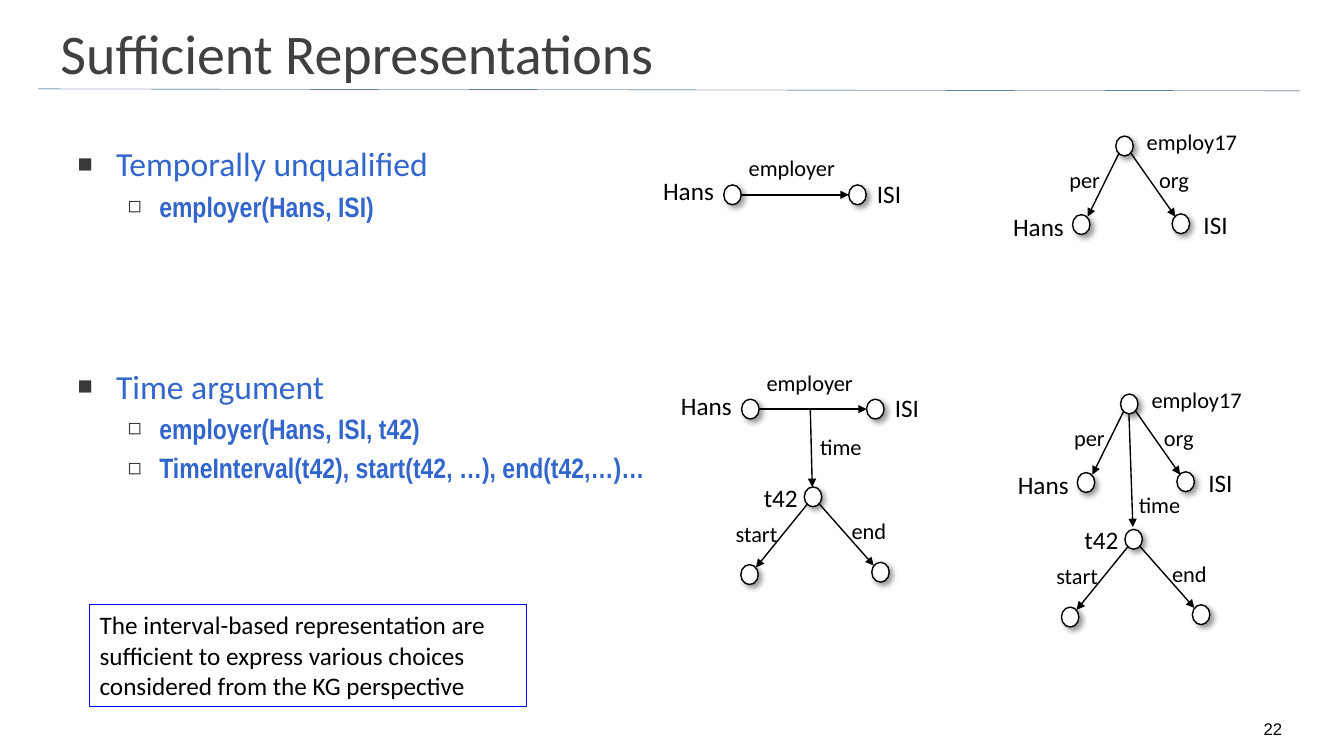
from lxml import etree
from pptx import Presentation
from pptx.dml.color import RGBColor
from pptx.enum import shapes, text
from pptx.oxml import ns, parse_xml
from pptx.util import Cm, Pt

HUES = {"ink": "000000", "title": "404040", "blue": "3366CC", "mark": "3B3838",
        "rule": "093D6E", "frame": "0000FF", "node": "FFFFFF"}
SHADE = ('<a:outerShdw %s blurRad="50800" dist="38100" dir="2700000" algn="tl" '
         'rotWithShape="0"><a:srgbClr val="%s"><a:alpha val="40000"/>'
         '</a:srgbClr></a:outerShdw>' % (ns.nsdecls("a"), HUES["ink"]))


def hue(name):
    return RGBColor.from_string(HUES[name])


def style(para, size, color="ink", face="Calibri", bold=False):
    font = para.font
    font.size, font.name, font.bold = Pt(size), face, bold
    font.color.rgb = hue(color)


def label(slide, words, x, y, w, h=0.94, size=16, face="Calibri"):
    box = slide.shapes.add_textbox(Cm(x), Cm(y), Cm(w), Cm(h))
    box.text_frame.word_wrap = True
    box.text_frame.text = words
    style(box.text_frame.paragraphs[0], size, face=face)
    return box


def node(slide, x, y):
    dot = slide.shapes.add_shape(shapes.MSO_SHAPE.OVAL, Cm(x), Cm(y), Cm(0.44), Cm(0.5))
    dot.fill.solid()
    dot.fill.fore_color.rgb = hue("node")
    dot.line.color.rgb = hue("ink")
    dot.line.width = Pt(1)
    dot.shadow.inherit = False
    dot._element.spPr.find(ns.qn("a:effectLst")).append(parse_xml(SHADE))


def line(slide, x1, y1, x2, y2, color="ink", width=1, head=True):
    link = slide.shapes.add_connector(shapes.MSO_CONNECTOR.STRAIGHT,
                                      Cm(x1), Cm(y1), Cm(x2), Cm(y2))
    link.line.color.rgb = hue(color)
    link.line.width = Pt(width)
    if head:
        etree.SubElement(link.line._get_or_add_ln(), ns.qn("a:tailEnd"), type="triangle")
    etree.SubElement(link._element.spPr, ns.qn("a:effectLst"))


def graph(slide, x, y, nodes, links, names):
    """Draw nodes, arrows and labels at offsets from the first node."""
    for dx, dy in nodes:
        node(slide, x + dx, y + dy)
    for x1, y1, x2, y2 in links:
        line(slide, x + x1, y + y1, x + x2, y + y2)
    for words, dx, dy, w, size in names:
        label(slide, words, x + dx, y + dy, w, size=size)


def direct(slide, x, y):
    graph(slide, x, y, [(0, 0), (3.15, 0)], [(0.45, 0.25, 3.15, 0.25)],
          [("Hans", -1.78, -0.36, 1.9, 18), ("employer", 0.38, -0.89, 2.7, 16),
           ("ISI", 3.61, -0.3, 1.27, 18)])


def event(slide, x, y):
    graph(slide, x, y, [(0, 0), (-1.09, 1.98), (1.42, 1.96)],
          [(0.08, 0.43, -0.71, 2.03), (0.38, 0.43, 1.5, 2.03)],
          [("Hans", -2.84, 1.78, 1.9, 18), ("ISI", 1.96, 1.73, 1.9, 18),
           ("per", -1.42, 0.64, 1.5, 16), ("org", 0.84, 0.64, 1.5, 16),
           ("employ17", 0.53, -0.33, 4.17, 16)])


def span(slide, x, y):
    graph(slide, x, y, [(0, 0), (1.7, 1.9), (-1.6, 1.96)],
          [(0.08, 0.43, -1.22, 2.03), (0.38, 0.43, 1.75, 1.98)],
          [("t42", -1.27, -0.25, 1.65, 18), ("end", 0.94, 0.64, 1.5, 16),
           ("start", -1.98, 0.71, 1.85, 16)])


def place(holder, x, y, w, h):
    holder.left, holder.top, holder.width, holder.height = Cm(x), Cm(y), Cm(w), Cm(h)
    holder.text_frame.auto_size = text.MSO_AUTO_SIZE.NONE


def bullet(para, sign, scale, left, hang):
    props = para._p.get_or_add_pPr()
    props.set("marL", str(Cm(left)))
    props.set("indent", str(-Cm(hang)))
    tint = etree.SubElement(props, ns.qn("a:buClr"))
    etree.SubElement(tint, ns.qn("a:srgbClr"), val=HUES["mark"])
    etree.SubElement(props, ns.qn("a:buSzPct"), val=str(scale * 1000))
    etree.SubElement(props, ns.qn("a:buChar"), char=sign)


def points(body, items):
    frame = body.text_frame
    frame.text = "\n".join(words for words, _, _ in items)
    for para, (_, level, gap) in zip(frame.paragraphs, items):
        para.level = level
        para.space_before = Pt(gap)
        if level:
            bullet(para, "◻", 80, 2.06, 0.79)
            style(para, 20, "blue", "Arial Narrow", True)
        else:
            bullet(para, "■", 75, 0.97, 0.97)
            style(para, 24, "blue")


def main():
    deck = Presentation()
    deck.slide_width, deck.slide_height = Cm(33.87), Cm(19.05)
    slide = deck.slides.add_slide(deck.slide_layouts[1])
    title, body = slide.placeholders

    # Title and rule
    line(slide, 0.97, 2.24, 32.77, 2.29, "rule", 0.25, False)
    place(title, 1.27, 0.58, 27.46, 1.47)
    title.text_frame.text = "Sufficient Representations"
    title.text_frame.vertical_anchor = text.MSO_ANCHOR.MIDDLE
    head = title.text_frame.paragraphs[0]
    head.alignment = text.PP_ALIGN.LEFT
    style(head, 40, "title")

    # List
    place(body, 1.7, 3.48, 17.42, 14.99)
    points(body, [("Temporally unqualified", 0, 4.8),
                  ("employer(Hans, ISI)", 1, 4),
                  ("Time argument", 0, 102),
                  ("employer(Hans, ISI, t42)", 1, 4),
                  ("TimeInterval(t42), start(t42, …), end(t42,…)…", 1, 4)])

    # Graphs without time
    direct(slide, 18.24, 4.66)
    event(slide, 28.12, 3.43)

    # Graphs with time
    direct(slide, 18.69, 10.06)
    span(slide, 20.27, 12.27)
    line(slide, 20.42, 10.29, 20.47, 12.27)
    label(slide, "time", 20.42, 10.8, 1.9)
    event(slide, 28.24, 9.93)
    span(slide, 28.35, 13.34)
    line(slide, 28.45, 10.41, 28.55, 13.28)
    label(slide, "time", 28.45, 12.24, 1.9)

    # Remark and page number
    note = label(slide, "The interval-based representation are sufficient to express "
                 "various choices considered from the KG perspective",
                 2.26, 15.24, 11.02, 2.57, 18)
    note.line.color.rgb = hue("frame")
    note.line.width = Pt(0.75)
    page = label(slide, "22", 31.37, 18.11, 1.42, 0.64, 12, "Arial")
    page.text_frame.vertical_anchor = text.MSO_ANCHOR.BOTTOM
    page.text_frame.paragraphs[0].alignment = text.PP_ALIGN.CENTER

    deck.save("out.pptx")


if __name__ == "__main__":
    main()
